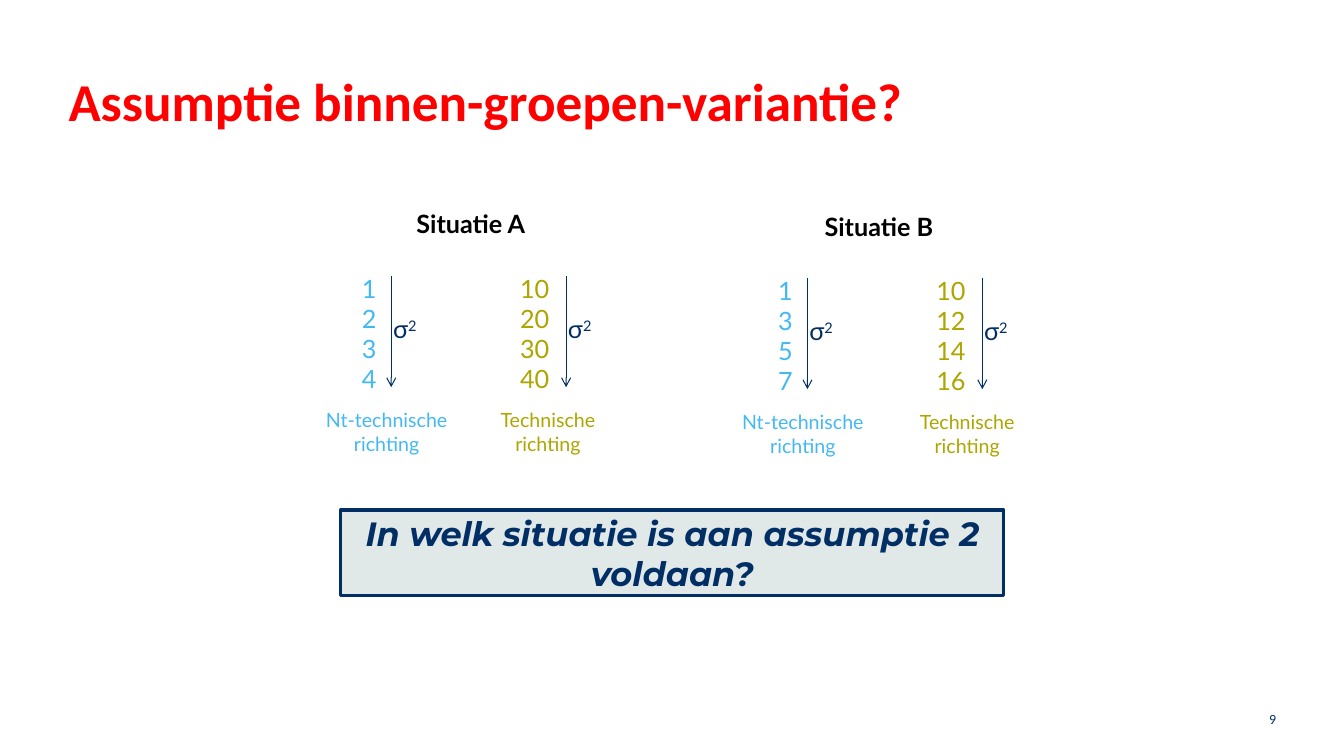
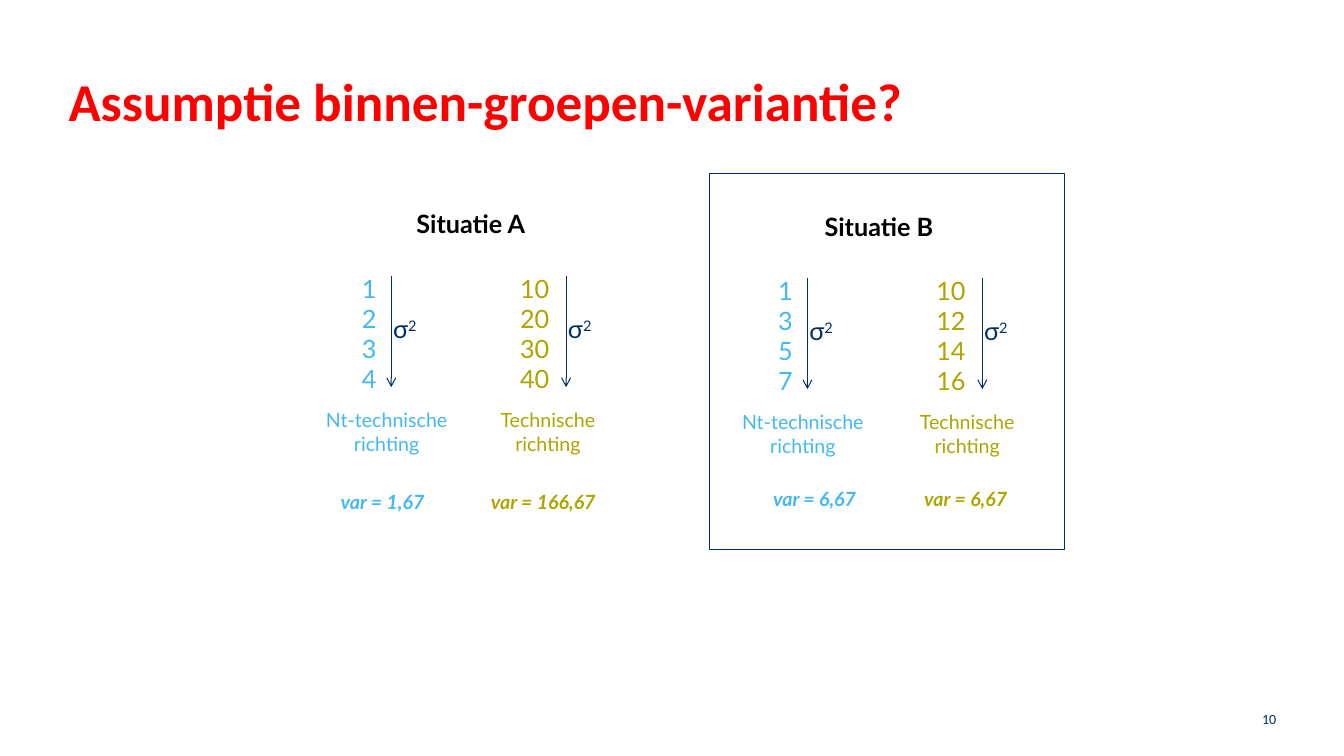
from lxml.etree import SubElement
from pptx import Presentation
from pptx.dml.color import RGBColor
from pptx.enum.shapes import MSO_CONNECTOR, MSO_SHAPE
from pptx.enum.text import MSO_ANCHOR, MSO_AUTO_SIZE, PP_ALIGN
from pptx.oxml.ns import qn
from pptx.util import Inches, Pt

# Shared palette and fonts
NAVY, RED, BLACK = "002E65", "FF0000", "000000"
SKY, OLIVE, MIST = "44B8F3", "ADA500", "BBCCCC"
HEAD_FONT, BODY_FONT, QUESTION_FONT = "Calibri", "Lato", "Montserrat"
TITLE = "Assumptie binnen-groepen-variantie?"
QUESTION = "In welk situatie is aan assumptie 2 voldaan?"

deck = Presentation()
deck.slide_width, deck.slide_height = Inches(13.333), Inches(7.5)


def place(left, top, width, height):
    """Turn percentages of the slide's size into lengths."""
    across, down = deck.slide_width / 100, deck.slide_height / 100
    return [round(share * side) for share, side in
            zip((left, top, width, height), (across, down, across, down))]


def write(shape, text, size, color, font=BODY_FONT, align=PP_ALIGN.LEFT,
          anchor=MSO_ANCHOR.TOP, inset=None, bold=False, italic=False):
    frame = shape.text_frame
    frame.text = text
    frame.word_wrap = True
    frame.auto_size = MSO_AUTO_SIZE.NONE
    frame.vertical_anchor = anchor
    if inset is not None:
        frame.margin_left = frame.margin_right = inset
        frame.margin_top = frame.margin_bottom = inset
    for paragraph in frame.paragraphs:
        paragraph.alignment = align
        for run in paragraph.runs:
            run.font.name, run.font.size = font, Pt(size)
            run.font.bold, run.font.italic = bold, italic
            run.font.color.rgb = RGBColor.from_string(color)
    return frame


# Each situation: heading place, corner of the numbers, variance row, then per
# group: numbers, label offset, variance text, variance position
SITUATIONS = [
    ("Situatie A", (26.18, 26.93), (26.18, 35.47), 64.13, [
        ((1, 2, 3, 4), -3.6, "var = 1,67", 24.6),
        ((10, 20, 30, 40), 8.4, "var = 166,67", 35.78)]),
    ("Situatie B", (56.55, 27.33), (57.15, 35.73), 63.73, [
        ((1, 3, 5, 7), -3.6, "var = 6,67", 56.78),
        ((10, 12, 14, 16), 8.63, "var = 6,67", 68.03)]),
]
# Group columns: label, colour, offset and width of the numbers, arrow offset
GROUPS = [
    ("Nt-technische\nrichting", SKY, 0, 3.53, 2.93),
    ("Technische\nrichting", OLIVE, 11.78, 4.13, 15.94),
]

for page_number, answered in ((9, False), (10, True)):
    slide = deck.slides.add_slide(deck.slide_layouts[5])
    shapes = slide.shapes

    # Title and page number
    title = shapes.title
    title.left, title.top, title.width, title.height = place(5.1, 9.07, 89.8, 11.6)
    write(title, TITLE, 38, RED, HEAD_FONT, inset=0, bold=True)
    write(shapes.add_textbox(*place(73.2, 92.4, 22.5, 5.33)), str(page_number),
          10, NAVY, HEAD_FONT, PP_ALIGN.RIGHT, MSO_ANCHOR.MIDDLE)

    # Two situations with two groups each
    for heading, heading_corner, (left, top), variance_top, samples in SITUATIONS:
        write(shapes.add_textbox(*place(*heading_corner, 17.7, 5.33)), heading,
              18, BLACK, align=PP_ALIGN.CENTER, bold=True)

        for group, sample in zip(GROUPS, samples):
            label, color, numbers_offset, numbers_width, arrow_offset = group
            numbers, label_offset, variance, variance_left = sample

            write(shapes.add_textbox(*place(left + numbers_offset, top,
                                            numbers_width, 17.87)),
                  "\n".join(map(str, numbers)), 18, color)

            # Arrow along the numbers
            x, y, _, length = place(left + arrow_offset, top + 1.07, 0, 14.67)
            arrow = shapes.add_connector(MSO_CONNECTOR.STRAIGHT, x, y, x, y + length)
            arrow.line.color.rgb = RGBColor.from_string(NAVY)
            arrow.line.width = Pt(0.75)
            SubElement(arrow.line._get_or_add_ln(), qn("a:tailEnd"), type="arrow")
            SubElement(arrow._element.spPr, qn("a:effectLst"))

            # Sigma squared beside the arrow
            sigma = write(shapes.add_textbox(*place(left + arrow_offset - 0.6,
                                                    top + 5.33, 3.53, 5.33)),
                          "σ", 18, NAVY)
            exponent = sigma.paragraphs[0].add_run()
            exponent.text = "2"
            exponent.font.name, exponent.font.size = BODY_FONT, Pt(18)
            exponent.font.color.rgb = RGBColor.from_string(NAVY)
            exponent.font._element.set("baseline", "30000")

            write(shapes.add_textbox(*place(left + label_offset, top + 17.87,
                                            12.38, 7.6)),
                  label, 14, color, align=PP_ALIGN.CENTER)
            if answered:
                write(shapes.add_textbox(*place(variance_left, variance_top,
                                                11.25, 4.53)),
                      variance, 14, color, bold=True, italic=True)

    # Frame around the right answer, or the question itself
    area = (52.8, 22.93, 26.4, 49.73) if answered else (25.35, 67.47, 49.35, 11.33)
    box = shapes.add_shape(MSO_SHAPE.RECTANGLE, *place(*area))
    box.shadow.inherit = False
    box.line.color.rgb = RGBColor.from_string(NAVY)
    box.line.width = Pt(0.75 if answered else 2.25)
    if answered:
        box.fill.background()
    else:
        box.fill.solid()
        box.fill.fore_color.rgb = RGBColor.from_string(MIST)
        tint = box._element.spPr.find(qn("a:solidFill")).find(qn("a:srgbClr"))
        SubElement(tint, qn("a:alpha"), val="44000")
        write(box, QUESTION, 24, NAVY, QUESTION_FONT, PP_ALIGN.CENTER,
              MSO_ANCHOR.MIDDLE, inset=0, bold=True, italic=True)

deck.save("out.pptx")
